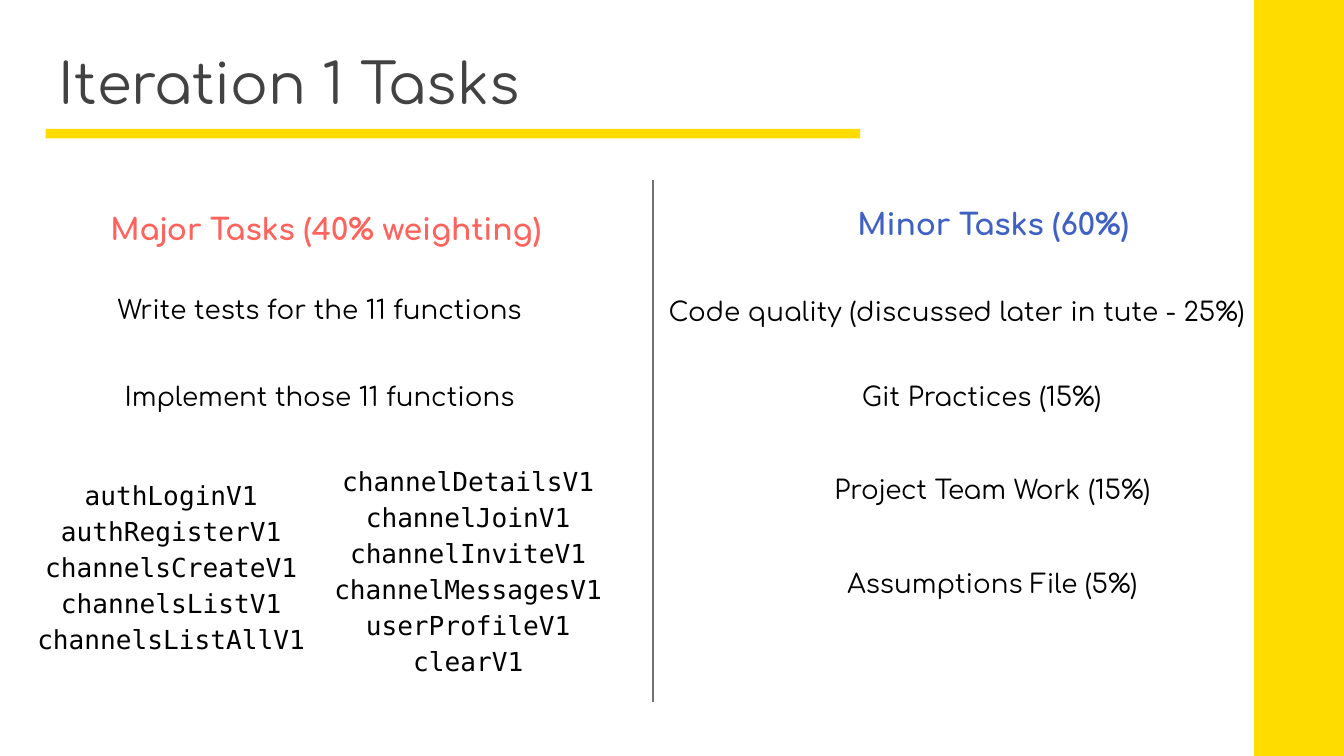
"""Build the Iteration 1 Tasks slide on a grid of 100 columns by 56.25 rows."""
from lxml import etree
from pptx import Presentation
from pptx import util as u
from pptx.dml.color import RGBColor
from pptx.enum import shapes, text
from pptx.oxml import ns

THEME = {
    "accent": "FFDC00",
    "divider": "737373",
    "divider_width": 0.75,
    "styles": {
        "title": {"size": 30, "name": "Comfortaa", "color": "424242"},
        "major": {"size": 16, "name": "Comfortaa", "color": "FF635D", "bold": True},
        "minor": {"size": 16, "name": "Comfortaa", "color": "3F61C4", "bold": True},
        "task": {"size": 14, "name": "Comfortaa", "color": "000000"},
        "code": {"size": 14, "name": "DejaVu Sans Mono", "color": "000000"},
    },
}
COLUMNS, ROWS = 100, 56.25
SLIDE_WIDTH = u.Inches(10)
SLIDE_HEIGHT = SLIDE_WIDTH * 9 // 16
MARGIN, DIVIDER, BAND = 3.4, 48.6, 93.3
HEADING_HEIGHT, TASK_HEIGHT = 4.7, 4.3
CODE_WIDTH, CODE_HEIGHT = 23.7, 18.1

TITLE = "Iteration 1 Tasks"
HEADINGS = [
    ("Major Tasks (40% weighting)", "major", 5.1, 14.7, 38.3),
    ("Minor Tasks (60%)", "minor", 61, 14.3, 25.8),
]
TASKS = [
    ("Write tests for the 11 functions", 5.5, 20.8, 36.6),
    ("Implement those 11 functions", 5.5, 27.3, 36.6),
    ("Code quality (discussed later in tute - 25%)", DIVIDER, 21, 45.2),
    ("Git Practices (15%)", 56.3, 27.3, 33.5),
    ("Project Team Work (15%)", 57.1, 34.2, 33.5),
    ("Assumptions File (5%)", 57.1, 41.2, 33.5),
]
FUNCTIONS = [
    (["authLoginV1", "authRegisterV1", "channelsCreateV1", "channelsListV1",
      "channelsListAllV1"], 0.9, 34.3),
    (["channelDetailsV1", "channelJoinV1", "channelInviteV1",
      "channelMessagesV1", "userProfileV1", "clearV1"], 23, 33.3),
]


def place(column, row, width, height):
    return (round(SLIDE_WIDTH * column / COLUMNS), round(SLIDE_HEIGHT * row / ROWS),
            round(SLIDE_WIDTH * width / COLUMNS), round(SLIDE_HEIGHT * height / ROWS))


def apply_format(target, values):
    for name, value in values.items():
        setattr(target, name, value)


def add_bar(slide, *area):
    shape = slide.shapes.add_shape(shapes.MSO_SHAPE.RECTANGLE, *place(*area))
    shape.shadow.inherit = False
    shape.fill.solid()
    shape.fill.fore_color.rgb = RGBColor.from_string(THEME["accent"])
    shape.line.fill.background()


def add_text(slide, lines, style, area, spacing=1.0):
    is_title = style == "title"
    frame = slide.shapes.add_textbox(*place(*area)).text_frame
    inset = u.Inches(0.1)
    apply_format(frame, {
        "margin_left": inset, "margin_right": inset,
        "margin_top": inset, "margin_bottom": inset,
        "word_wrap": True,
        "auto_size": text.MSO_AUTO_SIZE.NONE if is_title
        else text.MSO_AUTO_SIZE.SHAPE_TO_FIT_TEXT,
        "vertical_anchor": text.MSO_ANCHOR.BOTTOM if is_title else text.MSO_ANCHOR.TOP,
    })
    look = THEME["styles"][style]
    for index, line in enumerate(lines):
        paragraph = frame.add_paragraph() if index else frame.paragraphs[0]
        apply_format(paragraph, {
            "alignment": text.PP_ALIGN.LEFT if is_title else text.PP_ALIGN.CENTER,
            "line_spacing": spacing,
        })
        run = paragraph.add_run()
        run.text = line
        apply_format(run.font, {"name": look["name"], "size": u.Pt(look["size"]),
                                "bold": look.get("bold", False)})
        run.font.color.rgb = RGBColor.from_string(look["color"])


def add_divider(slide):
    left, top, _, height = place(DIVIDER, 13.4, 0, 38.8)
    line = slide.shapes.add_connector(
        shapes.MSO_CONNECTOR.STRAIGHT, left, top, left, top + height)
    line.line.color.rgb = RGBColor.from_string(THEME["divider"])
    line.line.width = u.Pt(THEME["divider_width"])
    etree.SubElement(line._element.spPr, ns.qn("a:effectLst"))


def main():
    presentation = Presentation()
    apply_format(presentation, {"slide_width": SLIDE_WIDTH, "slide_height": SLIDE_HEIGHT})
    slide = presentation.slides.add_slide(presentation.slide_layouts[6])
    add_bar(slide, BAND, 0, COLUMNS - BAND, ROWS)
    add_text(slide, [TITLE], "title", (MARGIN, 1.6, COLUMNS - 2 * MARGIN, 8))
    add_bar(slide, MARGIN, 9.6, 60.6, 0.7)
    add_divider(slide)
    for heading, style, column, row, width in HEADINGS:
        add_text(slide, [heading], style, (column, row, width, HEADING_HEIGHT))
    for task, column, row, width in TASKS:
        add_text(slide, [task], "task", (column, row, width, TASK_HEIGHT))
    for names, column, row in FUNCTIONS:
        add_text(slide, names, "code", (column, row, CODE_WIDTH, CODE_HEIGHT), 1.15)
    presentation.save("out.pptx")


if __name__ == "__main__":
    main()
